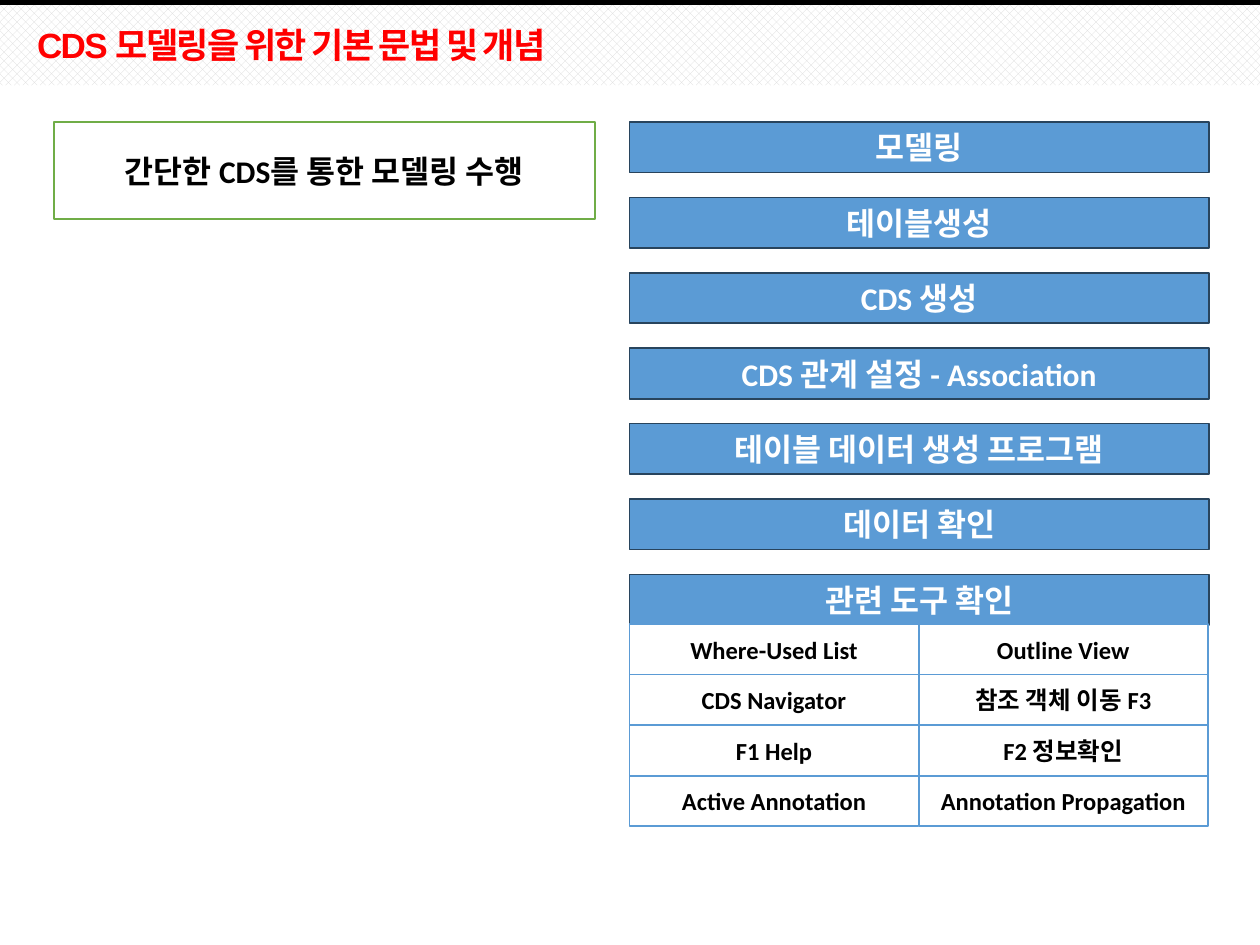
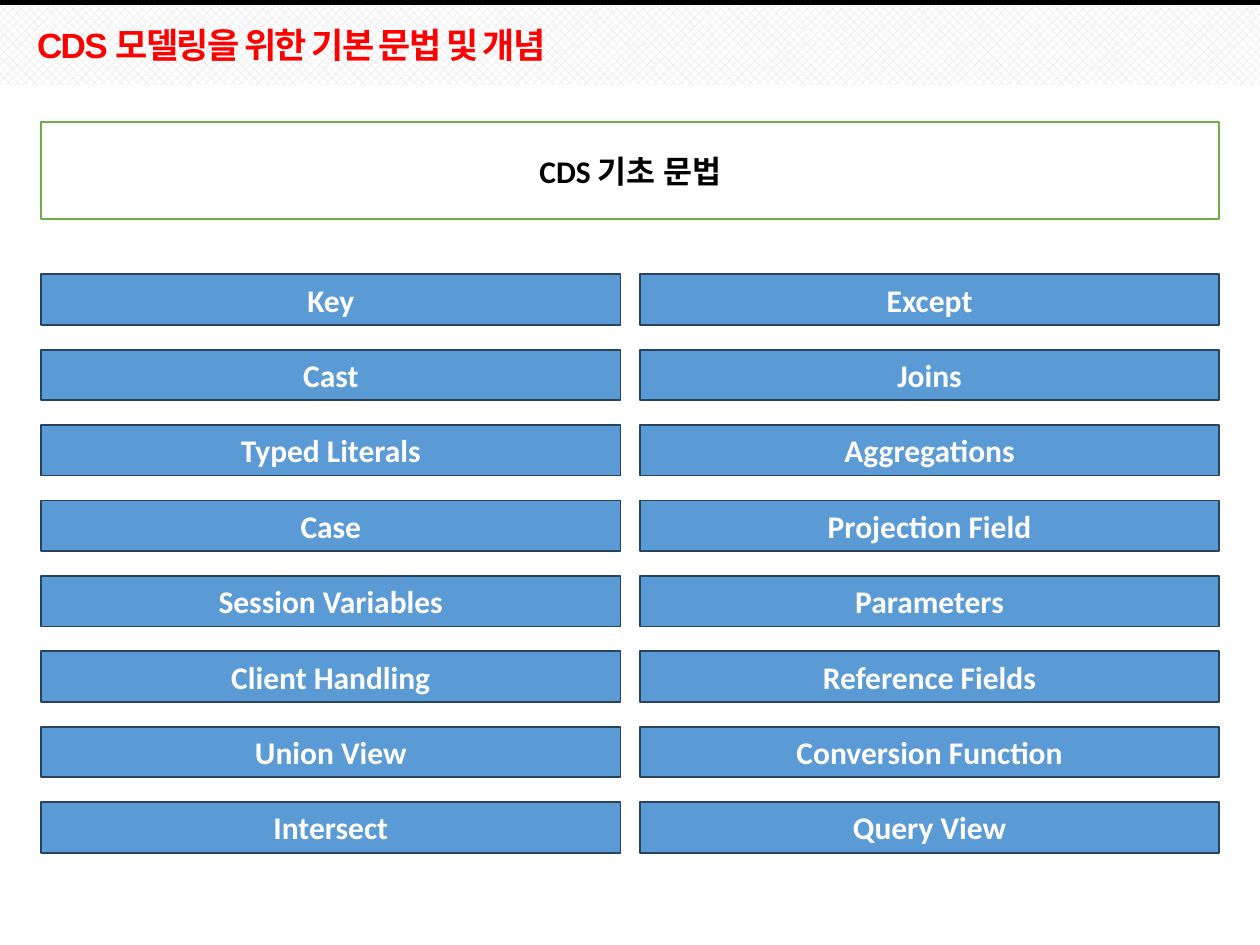
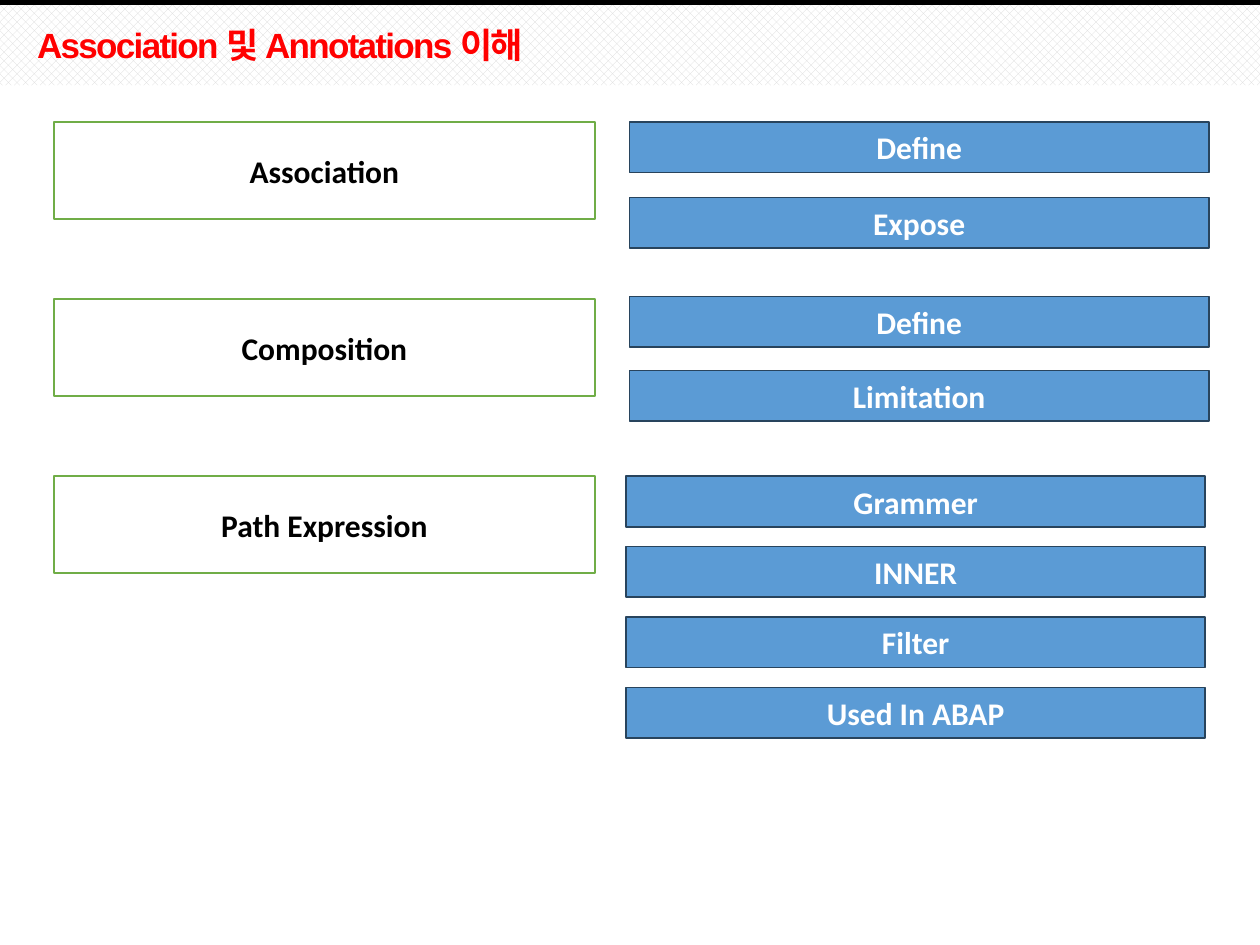
from dataclasses import dataclass

from lxml import etree
from pptx import Presentation
from pptx.dml.color import RGBColor
from pptx.enum.dml import MSO_PATTERN as Pattern
from pptx.enum.shapes import MSO_CONNECTOR as Link, MSO_SHAPE as Form
from pptx.enum.text import MSO_ANCHOR as Anchor, PP_ALIGN as Align
from pptx.oxml.ns import qn
from pptx.slide import Slide
from pptx.text.text import TextFrame
from pptx.util import Cm, Pt

# Shared colours and sizes (cm)
WHITE, BLACK, RED, GREY = "FFFFFF", "000000", "FF0000", "D9D9D9"
BLUE, NAVY, GREEN = "5B9BD5", "28445D", "70AD47"
WIDE, HIGH = 25.4, 19.05
LEFT, RIGHT, TOP = 1.09, 12.69, 2.46
EDGE, MID = 0.83, 12.9
STEP = 1.52
BASICS = "CDS 모델링을 위한 기본 문법 및 개념"


@dataclass(frozen=True)
class Style:
    fill: str
    line: str
    ink: str
    size: int
    width: float
    height: float


HEAD = Style(WHITE, GREEN, BLACK, 18, 10.9, 1.96)
BANNER = Style(WHITE, GREEN, BLACK, 18, 23.75, 1.96)
TOPIC = Style(BLUE, NAVY, WHITE, 18, 11.68, 1.02)
TOOL = Style(WHITE, BLUE, BLACK, 14, 5.83, 1.02)


@dataclass(frozen=True)
class Stack:
    """Column of equal boxes, evenly spaced from the top."""
    left: float
    top: float
    labels: list[str]
    style: Style = TOPIC
    step: float = STEP


@dataclass(frozen=True)
class Page:
    title: str
    stacks: list[Stack]


PAGES = [
    Page(BASICS, [
        Stack(LEFT, TOP, ["간단한 CDS를 통한 모델링 수행"], HEAD),
        Stack(RIGHT, TOP, ["모델링", "테이블생성", "CDS 생성",
                           "CDS 관계 설정 - Association",
                           "테이블 데이터 생성 프로그램", "데이터 확인",
                           "관련 도구 확인"]),
        Stack(RIGHT, 12.58, ["Where-Used List", "CDS Navigator", "F1 Help",
                             "Active Annotation"], TOOL, TOOL.height),
        Stack(RIGHT + TOOL.width, 12.58,
              ["Outline View", "참조 객체 이동 F3", "F2 정보확인",
               "Annotation Propagation"], TOOL, TOOL.height),
    ]),
    Page(BASICS, [
        Stack(EDGE, TOP, ["CDS 기초 문법"], BANNER),
        Stack(EDGE, 5.53, ["Key", "Cast", "Typed Literals", "Case",
                           "Session Variables", "Client Handling",
                           "Union View", "Intersect"]),
        Stack(MID, 5.53, ["Except", "Joins", "Aggregations",
                          "Projection Field", "Parameters",
                          "Reference Fields", "Conversion Function",
                          "Query View"]),
    ]),
    Page("Association 및 Annotations 이해", [
        Stack(LEFT, TOP, ["Association", "Composition", "Path Expression"],
              HEAD, 3.57),
        Stack(RIGHT, TOP, ["Define", "Expose"]),
        Stack(RIGHT, 5.98, ["Define", "Limitation"], step=1.49),
        Stack(12.62, 9.6, ["Grammer", "INNER", "Filter", "Used In ABAP"],
              step=1.42),
    ]),
]


def color(code: str) -> RGBColor:
    return RGBColor.from_string(code)


def write(frame: TextFrame, text: str, face: str, size: int, ink: str) -> None:
    frame.text = text
    frame.word_wrap = True
    for run in frame.paragraphs[0].runs:
        font = run.font
        font.name, font.size, font.bold = face, Pt(size), True
        font.color.rgb = color(ink)


def draw_band(slide: Slide) -> None:
    # Hatched header strip
    band = slide.shapes.add_shape(Form.RECTANGLE, 0, Cm(0.1), Cm(WIDE), Cm(1.62))
    band.shadow.inherit = False
    band.fill.patterned()
    band.fill.pattern = Pattern.PERCENT_50
    band.fill.fore_color.rgb = color(GREY)
    band.fill.back_color.rgb = color(WHITE)
    band.line.fill.background()
    # Black rule at the top edge
    rule = slide.shapes.add_connector(Link.STRAIGHT, 0, Cm(0.05), Cm(WIDE), Cm(0.05))
    rule.line.color.rgb = color(BLACK)
    rule.line.width = Pt(3)
    etree.SubElement(rule._element.spPr, qn("a:effectLst"))


def draw_title(slide: Slide, text: str) -> None:
    box = slide.shapes.add_textbox(Cm(0.5), Cm(0.28), Cm(23.88), Cm(1.17))
    frame = box.text_frame
    write(frame, text, "Arial", 20, RED)
    frame.vertical_anchor = Anchor.BOTTOM
    para = frame.paragraphs[0]
    para.line_spacing = 0.9
    for run in para.runs:
        run._r.get_or_add_rPr().set("spc", "-100")


def draw_stack(slide: Slide, stack: Stack) -> None:
    style = stack.style
    for row, label in enumerate(stack.labels):
        box = slide.shapes.add_shape(
            Form.RECTANGLE, Cm(stack.left), Cm(stack.top + row * stack.step),
            Cm(style.width), Cm(style.height))
        box.shadow.inherit = False
        box.fill.solid()
        box.fill.fore_color.rgb = color(style.fill)
        box.line.color.rgb = color(style.line)
        box.line.width = Pt(1)
        frame = box.text_frame
        write(frame, label, "Calibri", style.size, style.ink)
        frame.vertical_anchor = Anchor.MIDDLE
        frame.paragraphs[0].alignment = Align.CENTER


def main() -> None:
    deck = Presentation()
    deck.slide_width, deck.slide_height = Cm(WIDE), Cm(HIGH)
    for page in PAGES:
        slide = deck.slides.add_slide(deck.slide_layouts[6])
        draw_band(slide)
        draw_title(slide, page.title)
        for stack in page.stacks:
            draw_stack(slide, stack)
    deck.save("out.pptx")


if __name__ == "__main__":
    main()
